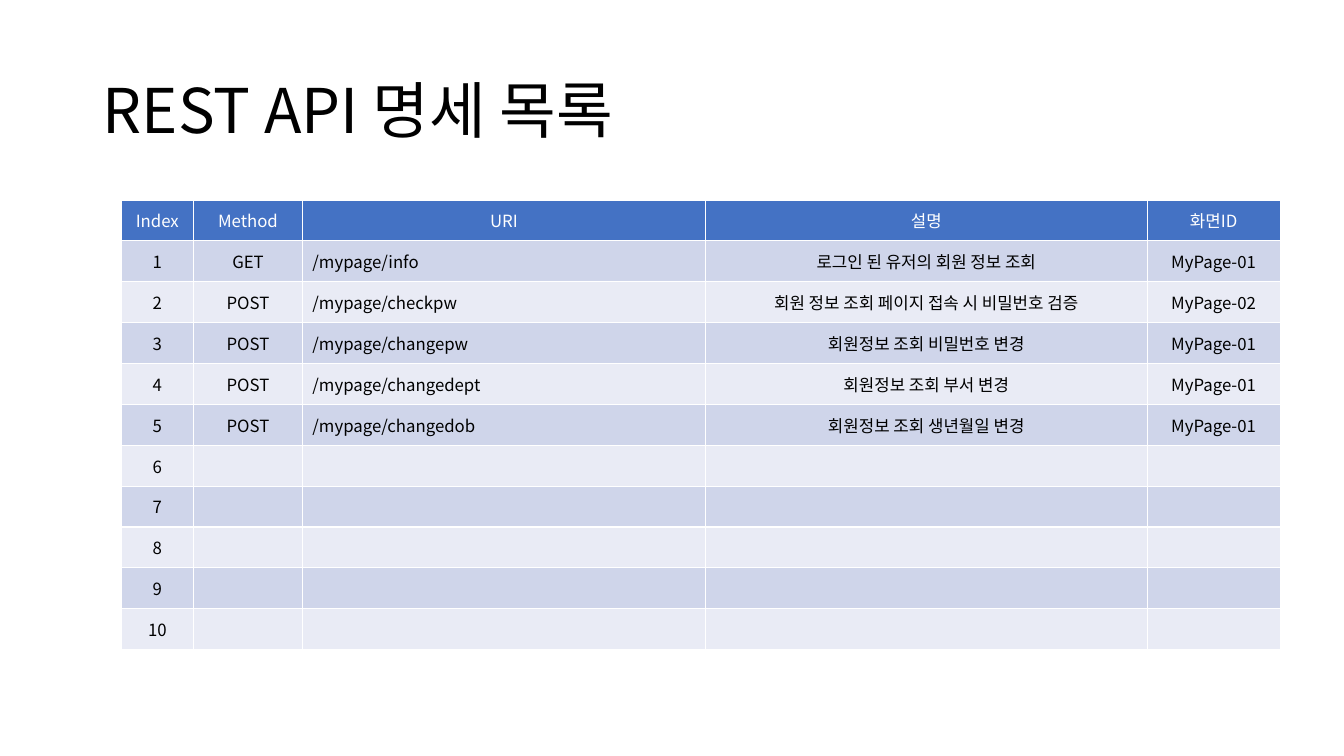
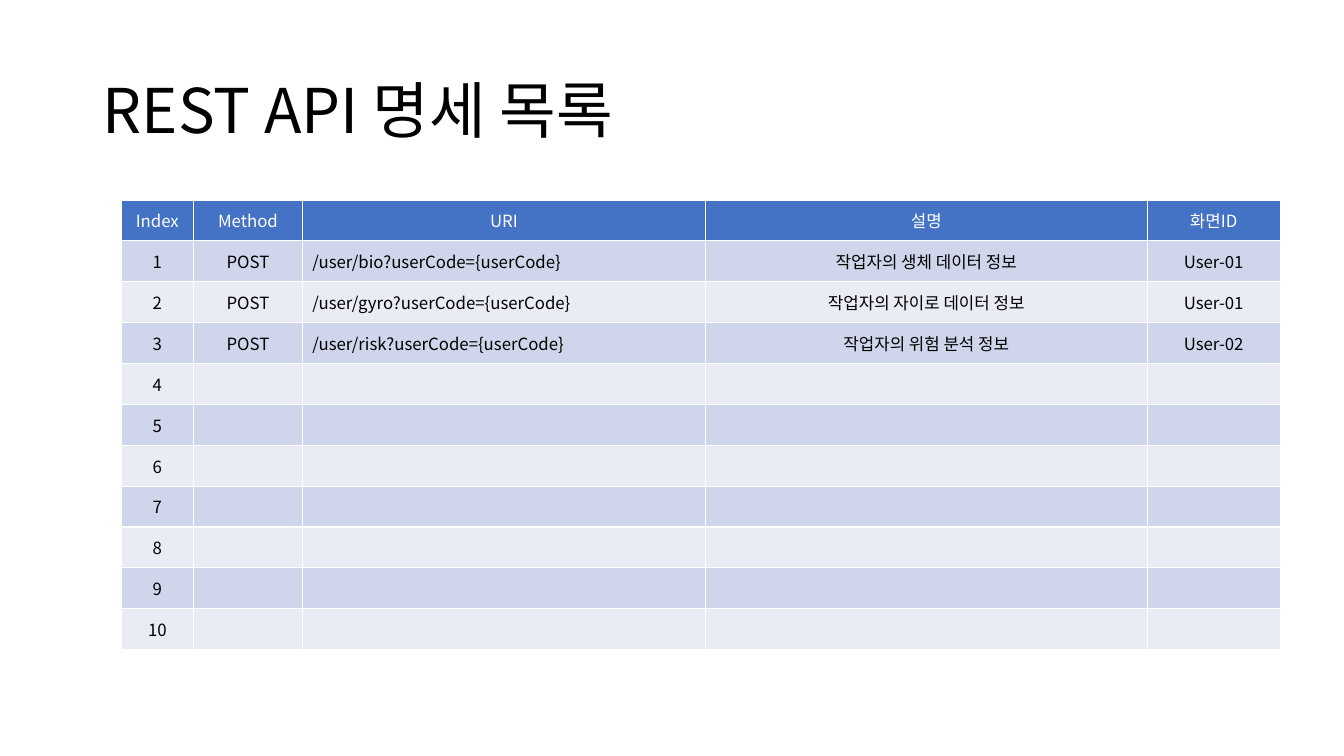
from dataclasses import dataclass

from lxml.etree import SubElement
from pptx import Presentation
from pptx.dml.color import RGBColor
from pptx.enum.text import MSO_ANCHOR as Anchor, PP_ALIGN as Align
from pptx.oxml.ns import qn
from pptx.slide import Slide
from pptx.table import _Cell as Cell
from pptx.text.text import _Paragraph as Paragraph
from pptx.util import Cm, Pt

COLORS = {
    "text": "000000",
    "header_text": "FFFFFF",
    "header_fill": "4472C4",
    "odd_fill": "CFD5EA",
    "even_fill": "E9EBF5",
    "border": "FFFFFF",
}
FONT = "Noto Sans CJK KR"
TITLE = "REST API 명세 목록"
TITLE_FORMAT = {"size": Pt(44), "name": FONT}
CELL_FORMAT = {"size": Pt(12), "bold": False, "name": FONT}
TABLE_LEFT, TABLE_TOP = 3.05, 5.04
ROW_HEIGHT = 1.03
ENDPOINT_ROWS = 10


@dataclass(frozen=True)
class Column:
    heading: str
    width: float
    align: Align = Align.CENTER


@dataclass(frozen=True)
class Endpoint:
    method: str = ""
    uri: str = ""
    description: str = ""
    screen: str = ""


COLUMNS = [
    Column("Index", 1.83),
    Column("Method", 2.74),
    Column("URI", 10.16, Align.LEFT),
    Column("설명", 11.13),
    Column("화면ID", 3.35),
]

ENDPOINT_LISTS = [
    [
        Endpoint("GET", "/mypage/info", "로그인 된 유저의 회원 정보 조회", "MyPage-01"),
        Endpoint("POST", "/mypage/checkpw", "회원 정보 조회 페이지 접속 시 비밀번호 검증", "MyPage-02"),
        Endpoint("POST", "/mypage/changepw", "회원정보 조회 비밀번호 변경", "MyPage-01"),
        Endpoint("POST", "/mypage/changedept", "회원정보 조회 부서 변경", "MyPage-01"),
        Endpoint("POST", "/mypage/changedob", "회원정보 조회 생년월일 변경", "MyPage-01"),
    ],
    [
        Endpoint("POST", "/user/bio?userCode={userCode}", "작업자의 생체 데이터 정보", "User-01"),
        Endpoint("POST", "/user/gyro?userCode={userCode}", "작업자의 자이로 데이터 정보", "User-01"),
        Endpoint("POST", "/user/risk?userCode={userCode}", "작업자의 위험 분석 정보", "User-02"),
    ],
]


def color(name: str) -> RGBColor:
    return RGBColor.from_string(COLORS[name])


def write(paragraph: Paragraph, text: str, text_color: str, font_format: dict) -> None:
    """Add one run, with the same font for Latin and Korean letters."""
    run = paragraph.add_run()
    run.text = text
    run.font.color.rgb = color(text_color)
    for attribute, value in font_format.items():
        setattr(run.font, attribute, value)
    SubElement(run.font._element, qn("a:ea"), typeface=FONT)


def add_borders(cell: Cell) -> None:
    properties = cell._tc.get_or_add_tcPr()
    for position, side in enumerate(("a:lnL", "a:lnR", "a:lnT", "a:lnB")):
        line = properties.makeelement(qn(side), {"w": str(Pt(1))})
        fill = SubElement(line, qn("a:solidFill"))
        SubElement(fill, qn("a:srgbClr"), val=COLORS["border"])
        properties.insert(position, line)


def fill_cell(cell: Cell, text: str, align: Align, text_color: str, fill: str) -> None:
    cell.vertical_anchor = Anchor.MIDDLE
    cell.fill.solid()
    cell.fill.fore_color.rgb = color(fill)
    add_borders(cell)
    paragraph = cell.text_frame.paragraphs[0]
    paragraph.alignment = align
    if text:
        write(paragraph, text, text_color, CELL_FORMAT)
    else:
        # An empty cell at the default 18 pt would stretch its row.
        SubElement(paragraph._p, qn("a:endParaRPr"), sz="1200")


def add_title(slide: Slide) -> None:
    box = slide.shapes.add_textbox(Cm(2.34), Cm(1.02), Cm(29.21), Cm(3.68))
    frame = box.text_frame
    frame.word_wrap = True
    frame.vertical_anchor = Anchor.MIDDLE
    paragraph = frame.paragraphs[0]
    paragraph.line_spacing = 0.9
    write(paragraph, TITLE, "text", TITLE_FORMAT)


def add_endpoint_table(slide: Slide, endpoints: list[Endpoint]) -> None:
    row_count = ENDPOINT_ROWS + 1
    table = slide.shapes.add_table(
        row_count, len(COLUMNS), Cm(TABLE_LEFT), Cm(TABLE_TOP),
        Cm(sum(column.width for column in COLUMNS)), Cm(ROW_HEIGHT * row_count),
    ).table
    for row in table.rows:
        row.height = Cm(ROW_HEIGHT)
    padding = [Endpoint()] * (ENDPOINT_ROWS - len(endpoints))
    for position, column in enumerate(COLUMNS):
        table.columns[position].width = Cm(column.width)
        fill_cell(table.cell(0, position), column.heading, Align.CENTER, "header_text", "header_fill")
    for index, endpoint in enumerate(endpoints + padding, start=1):
        values = (str(index), endpoint.method, endpoint.uri, endpoint.description, endpoint.screen)
        fill = "odd_fill" if index % 2 else "even_fill"
        for position, (column, value) in enumerate(zip(COLUMNS, values)):
            fill_cell(table.cell(index, position), value, column.align, "text", fill)


def main() -> None:
    presentation = Presentation()
    presentation.slide_width, presentation.slide_height = Cm(33.87), Cm(19.05)
    blank_layout = presentation.slide_layouts[6]
    for endpoints in ENDPOINT_LISTS:
        slide = presentation.slides.add_slide(blank_layout)
        add_title(slide)
        add_endpoint_table(slide, endpoints)
    presentation.save("out.pptx")


if __name__ == "__main__":
    main()
